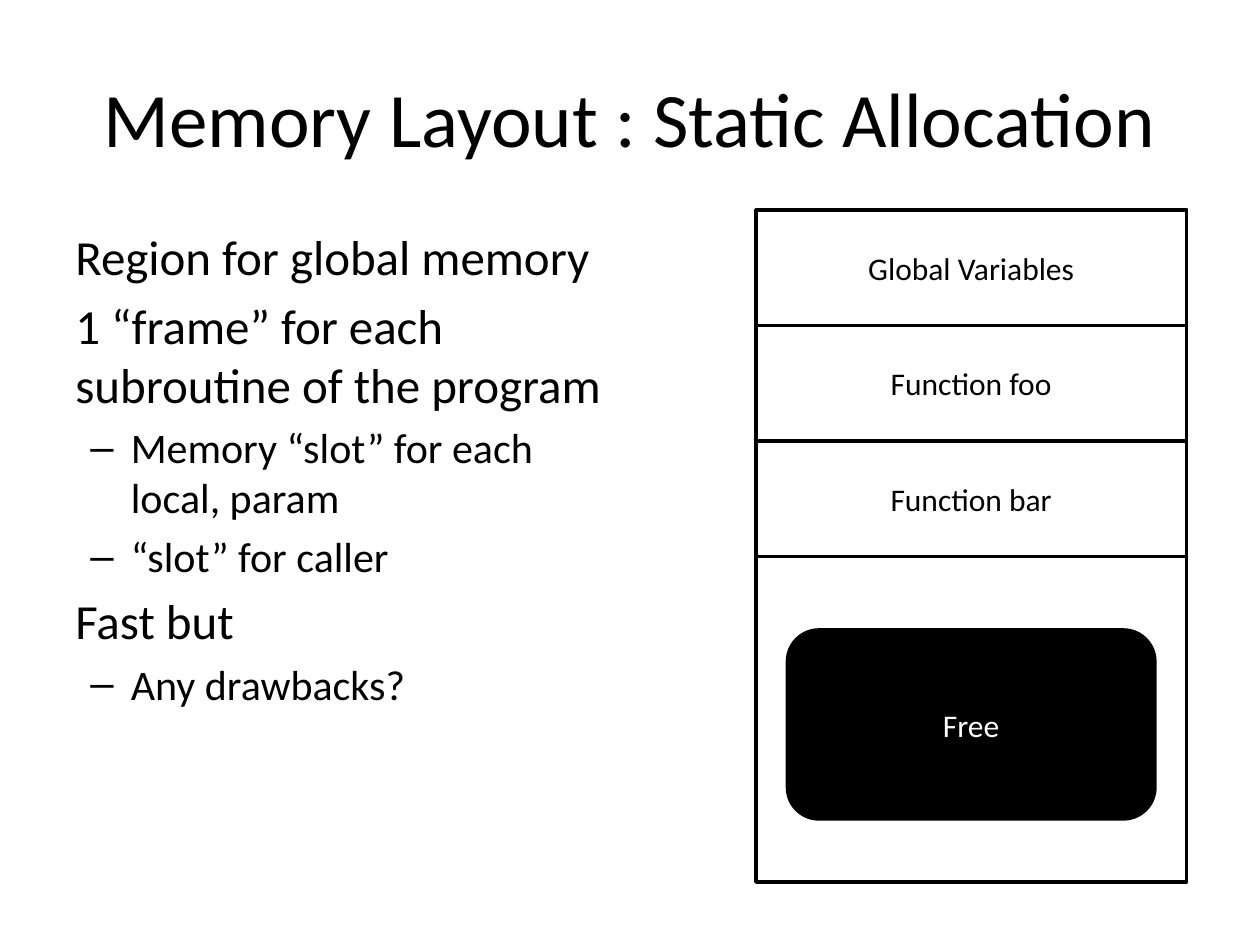
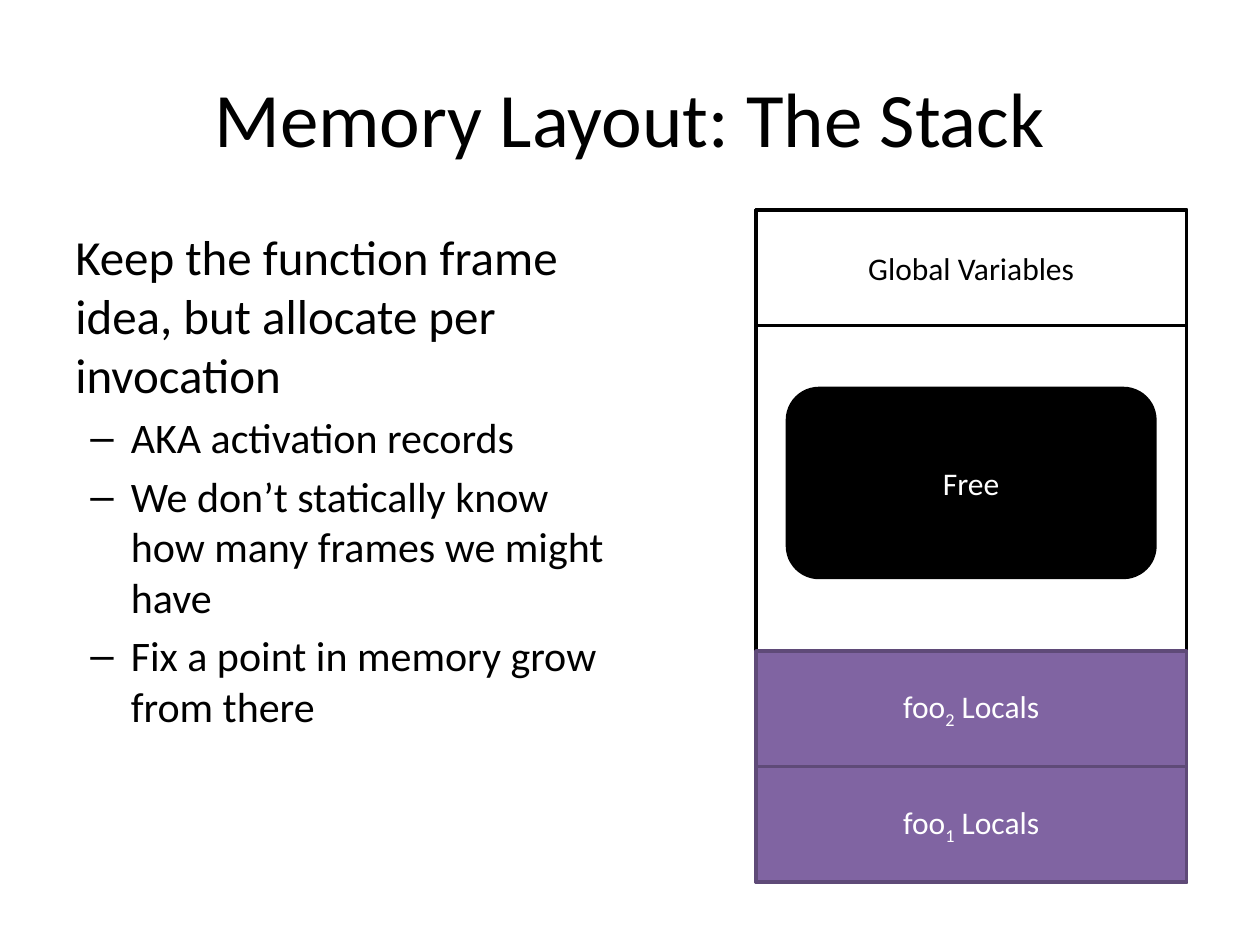
from pptx import Presentation
from pptx.dml.color import RGBColor as RGB
from pptx.enum.shapes import MSO_SHAPE as SHAPE
from pptx.enum.text import MSO_ANCHOR as ANCHOR, PP_ALIGN as ALIGN
from pptx.oxml.ns import qn
from pptx.util import Inches, Pt
from lxml.etree import SubElement


class Theme:
    font = "Calibri"
    black, white = RGB(0, 0, 0), RGB(255, 255, 255)
    purple, plum = RGB(0x80, 0x64, 0xA2), RGB(0x5F, 0x4A, 0x78)
    title_size, label_size = 44, 18
    body_sizes = (28, 24)
    line = Pt(2)


# Fill, outline and text colour of each kind of memory block
STYLES = {
    "plain": (Theme.white, Theme.black, Theme.black),
    "free": (Theme.black, Theme.black, Theme.white),
    "local": (Theme.purple, Theme.plum, Theme.white),
}

deck = Presentation()
deck.slide_width, deck.slide_height = Inches(10), Inches(7.5)

# The slide is a grid of 120 columns by 90 rows
CELL = deck.slide_width // 120
TITLE_AREA = (6, 3.6, 108, 15)
BODY_AREA = (6, 21, 53, 59.4)
MEMORY_LEFT, MEMORY_TOP, MEMORY_WIDTH, MEMORY_HEIGHT = 72, 20, 41, 64
FRAME_HEIGHT = 11
FREE_INSET, FREE_HEIGHT = 3, 18
MEMORY_BOTTOM = MEMORY_TOP + MEMORY_HEIGHT


def write(paragraph, parts, size, color):
    """Add runs to a paragraph; every second part is a subscript."""
    look = {"name": Theme.font, "size": Pt(size)}
    for index, part in enumerate(parts):
        run = paragraph.add_run()
        run.text = part
        for key, value in look.items():
            setattr(run.font, key, value)
        run.font.color.rgb = color
        if index % 2:
            run._r.get_or_add_rPr().set("baseline", "-25000")


def add_block(slide, style, area, parts=(), outline=SHAPE.RECTANGLE):
    """Draw one memory block with a centred label."""
    fill, edge, ink = STYLES[style]
    block = slide.shapes.add_shape(outline, *[round(n * CELL) for n in area])
    block.shadow.inherit = False
    block.fill.solid()
    block.fill.fore_color.rgb = fill
    block.line.color.rgb = edge
    block.line.width = Theme.line
    block.text_frame.vertical_anchor = ANCHOR.MIDDLE
    label = block.text_frame.paragraphs[0]
    label.alignment = ALIGN.CENTER
    write(label, parts, Theme.label_size, ink)


# Body lines are (level, text); frames are (style, row, label parts)
PAGES = [
    {
        "title": "Memory Layout : Static Allocation",
        "body": [
            (0, "Region for global memory"),
            (0, "1 “frame” for each subroutine of the program"),
            (1, "Memory “slot” for each local, param"),
            (1, "“slot” for caller"),
            (0, "Fast but"),
            (1, "Any drawbacks?"),
        ],
        "frames": [
            ("plain", MEMORY_TOP, ["Global Variables"]),
            ("plain", MEMORY_TOP + FRAME_HEIGHT, ["Function foo"]),
            ("plain", MEMORY_TOP + 2 * FRAME_HEIGHT, ["Function bar"]),
        ],
        "free_row": 60,
    },
    {
        "title": "Memory Layout: The Stack",
        "body": [
            (0, "Keep the function frame idea, but allocate per invocation"),
            (1, "AKA activation records"),
            (1, "We don’t statically know how many frames we might have"),
            (1, "Fix a point in memory grow from there"),
        ],
        "frames": [
            ("plain", MEMORY_TOP, ["Global Variables"]),
            ("local", MEMORY_BOTTOM - 2 * FRAME_HEIGHT, ["foo", "2", " Locals"]),
            ("local", MEMORY_BOTTOM - FRAME_HEIGHT, ["foo", "1", " Locals"]),
        ],
        "free_row": 37,
    },
]

for page in PAGES:
    slide = deck.slides.add_slide(deck.slide_layouts[6])

    # Title and body text areas
    heading, points = [
        slide.shapes.add_textbox(*[round(n * CELL) for n in area]).text_frame
        for area in (TITLE_AREA, BODY_AREA)
    ]
    heading.word_wrap = points.word_wrap = True
    heading.vertical_anchor = ANCHOR.MIDDLE
    heading.paragraphs[0].alignment = ALIGN.CENTER
    write(heading.paragraphs[0], [page["title"]], Theme.title_size, Theme.black)

    # Body lines, with a dash on the second level
    for index, (level, text) in enumerate(page["body"]):
        point = points.add_paragraph() if index else points.paragraphs[0]
        size = Theme.body_sizes[level]
        point.level = level
        point.space_before = Pt(size * 0.2)
        if level:
            props = point._p.get_or_add_pPr()
            props.set("marL", str(Inches(0.44)))
            props.set("indent", str(-Inches(0.32)))
            SubElement(props, qn("a:buFont")).set("typeface", "Arial")
            SubElement(props, qn("a:buChar")).set("char", "–")
        write(point, [text], size, Theme.black)

    # Memory column, its frames and the free region
    add_block(slide, "plain", (MEMORY_LEFT, MEMORY_TOP, MEMORY_WIDTH, MEMORY_HEIGHT))
    for style, row, label_parts in page["frames"]:
        add_block(slide, style, (MEMORY_LEFT, row, MEMORY_WIDTH, FRAME_HEIGHT), label_parts)
    free_area = (MEMORY_LEFT + FREE_INSET, page["free_row"],
                 MEMORY_WIDTH - 2 * FREE_INSET, FREE_HEIGHT)
    add_block(slide, "free", free_area, ["Free"], SHAPE.ROUNDED_RECTANGLE)

deck.save("out.pptx")
